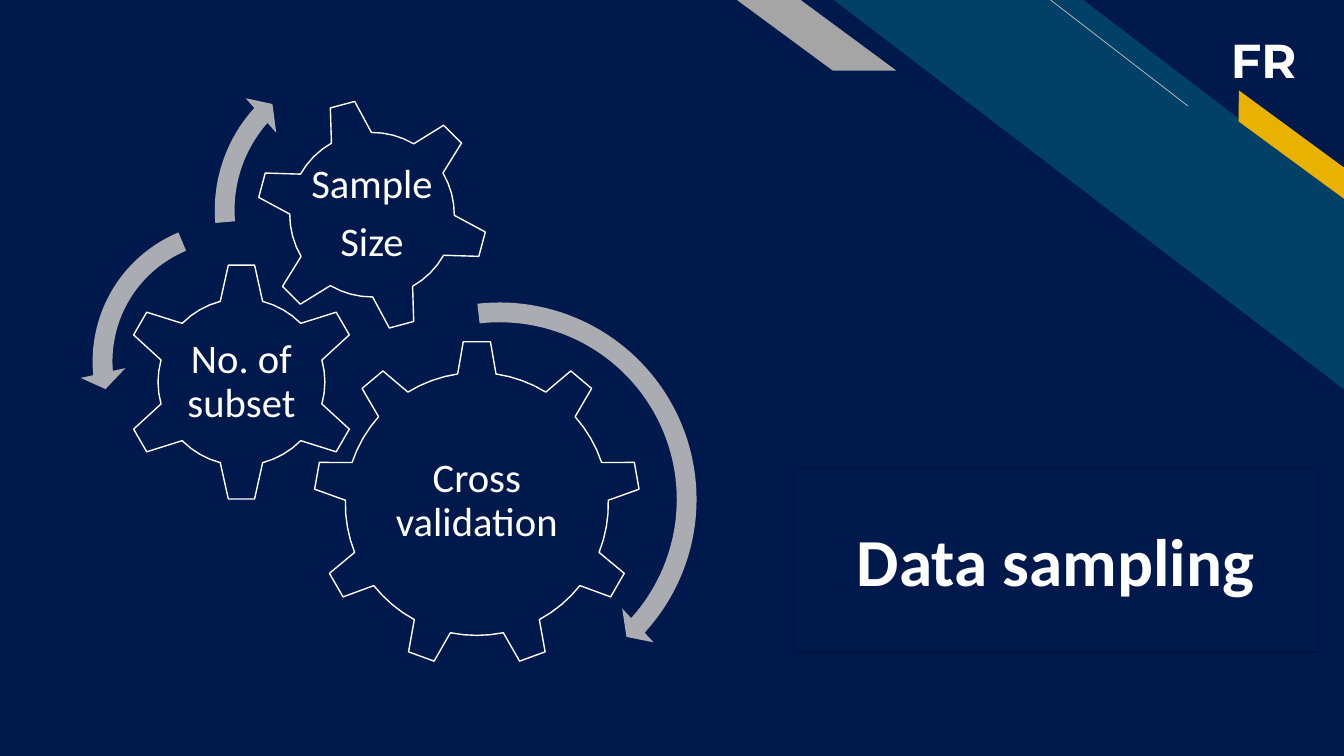
from math import atan2, cos, hypot, radians, sin

from lxml import etree
from pptx import Presentation
from pptx.dml.color import RGBColor
from pptx.enum.shapes import MSO_CONNECTOR, MSO_SHAPE as SHAPE
from pptx.enum.text import MSO_ANCHOR as ANCHOR, MSO_AUTO_SIZE as AUTO, PP_ALIGN as ALIGN
from pptx.oxml.ns import qn
from pptx.util import Inches, Pt

NAVY = RGBColor(0x00, 0x19, 0x4C)
DARK_NAVY = RGBColor(0x00, 0x12, 0x38)
TEAL = RGBColor(0x01, 0x40, 0x67)
YELLOW = RGBColor(0xEA, 0xB2, 0x00)
GREY = RGBColor(0xA5, 0xA5, 0xA5)
LIGHT_GREY = RGBColor(0xBF, 0xBF, 0xBF)
ARROW_GREY = RGBColor(0xAB, 0xAC, 0xB2)
WHITE = RGBColor(0xFF, 0xFF, 0xFF)


def add_preset(kind, box, adjustments, color):
    sp = s.shapes.add_shape(kind, *[Inches(v) for v in box])
    for i, value in enumerate(adjustments):
        sp.adjustments[i] = value
    sp.fill.solid()
    sp.fill.fore_color.rgb = color
    sp.line.fill.background()
    sp.shadow.inherit = False
    return sp


def gear_points(cx, cy, teeth, turn, base, tip):
    step = radians(360 / teeth)
    radius, half = hypot(*base), atan2(base[1], base[0])
    points = []
    for n in range(teeth):
        a = radians(turn) + n * step
        for depth, side in ((base[0], -base[1]), (tip[0], -tip[1]), tip, base):
            points.append((cx + depth * sin(a) + side * cos(a),
                           cy - depth * cos(a) + side * sin(a)))
        for k in range(1, 4):
            b = a + half + (step - 2 * half) * k / 4
            points.append((cx + radius * sin(b), cy - radius * cos(b)))
    return [(Inches(x), Inches(y)) for x, y in points]


prs = Presentation()
prs.slide_width, prs.slide_height = Inches(13.33), Inches(7.5)
s = prs.slides.add_slide(prs.slide_layouts[5])
title = s.shapes.title

backdrop = add_preset(SHAPE.RECTANGLE, (0, 0, 13.33, 7.5), [], NAVY)
title.element.addprevious(backdrop.element)

stripes = [
    (SHAPE.DIAGONAL_STRIPE, (8.27, 0, 5.07, 3.87), 0.512, TEAL, 0),
    (SHAPE.PARALLELOGRAM, (12.07, 1.31, 1.48, 0.25), 0.72, YELLOW, 36.3),
    (SHAPE.PARALLELOGRAM, (7.31, 0, 1.58, 0.7), 1.356, GREY, 0),
]
for kind, box, adjustment, color, rotation in stripes:
    sp = add_preset(kind, box, [adjustment], color)
    sp.rotation = rotation
    sp.element.spPr.xfrm.set("flipH", "1")

line = s.shapes.add_connector(MSO_CONNECTOR.STRAIGHT, Inches(11.78), Inches(1.05),
                              Inches(10.42), Inches(0))
line.line.color.rgb = LIGHT_GREY
line.line.width = Pt(0.5)
etree.SubElement(line.element.spPr, qn("a:effectLst"))

initials = s.shapes.add_textbox(Inches(12.11), Inches(0.26), Inches(0.89), Inches(0.67))
tf = initials.text_frame
tf.word_wrap = False
tf.text = "FR"
font = tf.paragraphs[0].runs[0].font
font.name, font.size, font.bold = "Montserrat", Pt(34), True
font.color.rgb = WHITE

gears = [
    ("Cross validation", (4.73, 5, 9, 0, (1.29, 0.19), (1.61, 0.135)), (0.68, 0.78)),
    ("No. of subset", (2.395, 3.79, 6, 0, (0.8, 0.21), (1.16, 0.13)), (0.5, 0.61)),
    ("Sample\nSize", (3.69, 2.13, 6, -15, (0.79, 0.205), (1.13, 0.125)), (0.48, 0.52)),
]
for text, geometry, (side_inset, top_inset) in gears:
    points = gear_points(*geometry)
    builder = s.shapes.build_freeform(*points[0])
    builder.add_line_segments(points[1:], close=True)
    sp = builder.convert_to_shape()
    sp.fill.solid()
    sp.fill.fore_color.rgb = NAVY
    sp.line.color.rgb = WHITE
    sp.line.width = Pt(1)
    sp.shadow.inherit = False
    tf = sp.text_frame
    tf.word_wrap = True
    tf.vertical_anchor = ANCHOR.MIDDLE
    tf.margin_left = tf.margin_right = Inches(side_inset)
    tf.margin_top = tf.margin_bottom = Inches(top_inset)
    tf.text = text
    for p in tf.paragraphs:
        p.alignment = ALIGN.CENTER
        p.line_spacing = 0.9
        p.space_after = Pt(10)
        font = p.runs[0].font
        font.name, font.size = "Calibri", Pt(29)
        font.color.rgb = WHITE

arrows = [
    (SHAPE.CIRCULAR_ARROW, (2.87, 2.87, 4.17, 4.17), (0.047, 2.99, 25.393, 158.123, 0.055)),
    (SHAPE.LEFT_CIRCULAR_ARROW, (0.79, 2.07, 3.03, 3.03), (0.065, 4.3, 104.891, 148.378, 0.075)),
    (SHAPE.CIRCULAR_ARROW, (2, 0.45, 3.27, 3.27), (0.06, 3.941, 133.138, 105.082, 0.07)),
]
for kind, box, adjustments in arrows:
    add_preset(kind, box, adjustments, ARROW_GREY)

title.left, title.top = Inches(7.87), Inches(4.64)
title.width, title.height = Inches(5.2), Inches(1.83)
title.line.color.rgb = DARK_NAVY
title.line.width = Pt(1)
tf = title.text_frame
tf.word_wrap = True
tf.auto_size = AUTO.NONE
tf.vertical_anchor = ANCHOR.MIDDLE
tf.text = "Data sampling"
p = tf.paragraphs[0]
p.alignment = ALIGN.CENTER
font = p.runs[0].font
font.name, font.size, font.bold = "Calibri", Pt(48), True
font.color.rgb = WHITE

prs.save("out.pptx")
